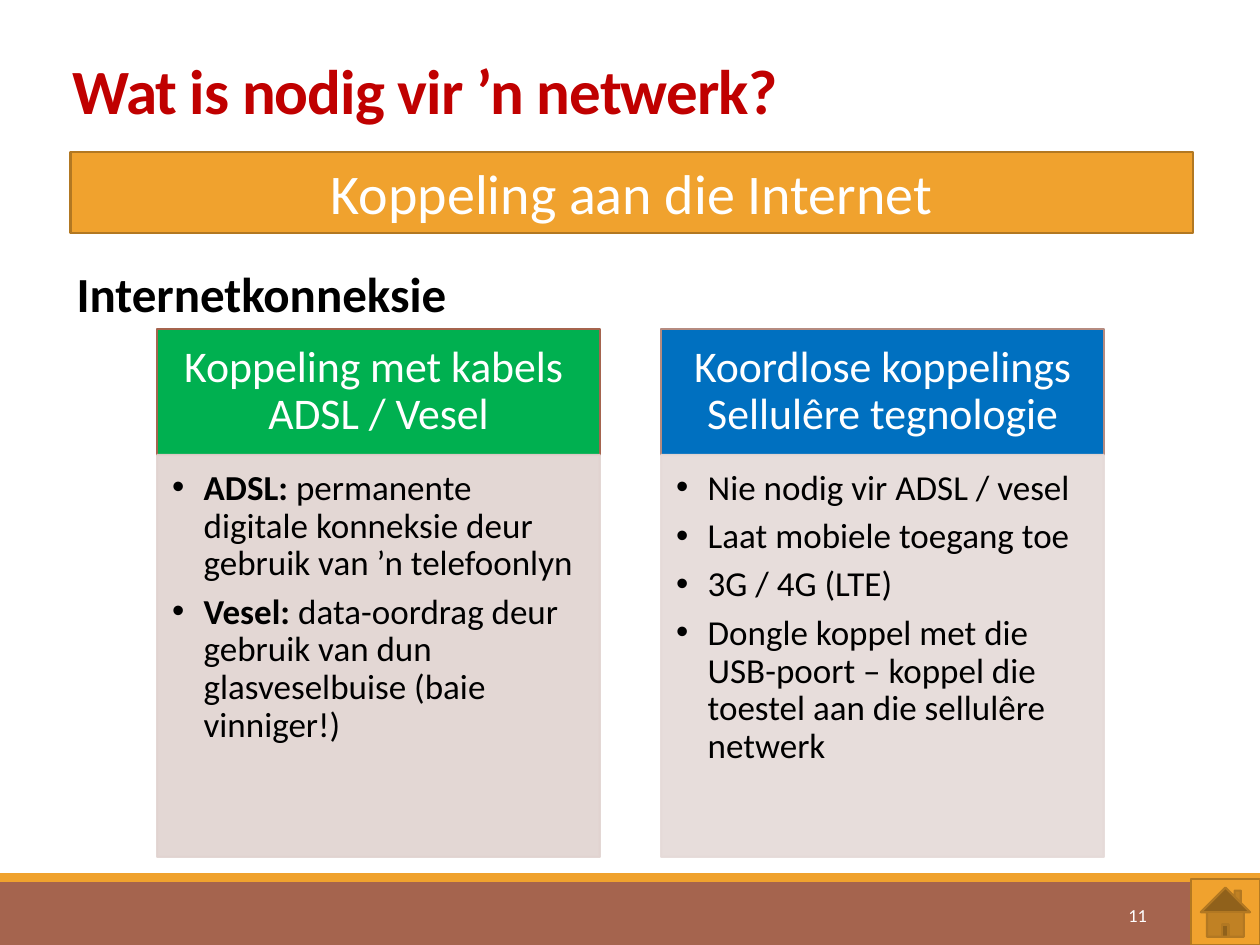
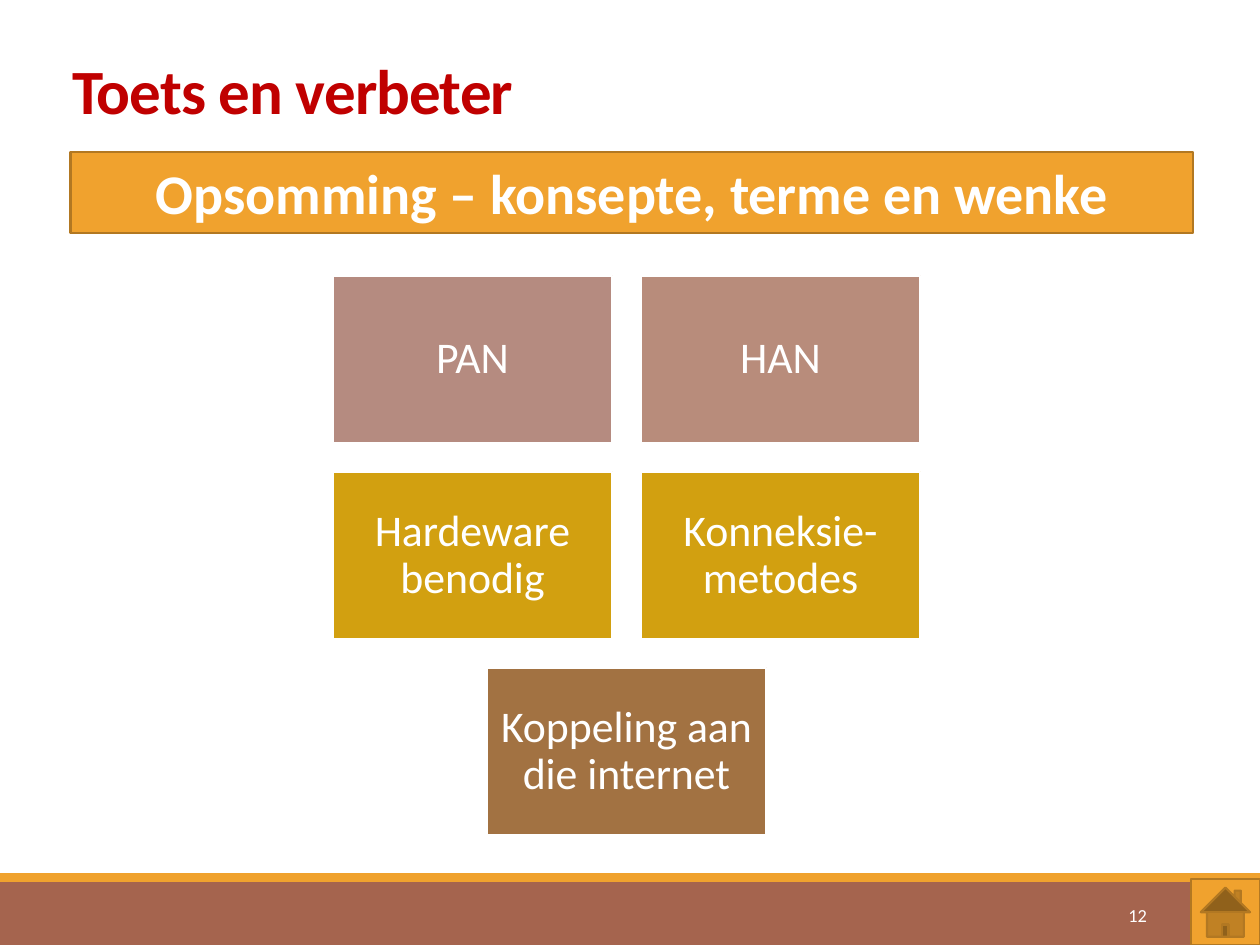
from dataclasses import dataclass

from pptx import Presentation
from pptx.dml.color import RGBColor
from pptx.enum.shapes import MSO_SHAPE as Preset
from pptx.enum.text import MSO_ANCHOR as Anchor, MSO_AUTO_SIZE as AutoSize, PP_ALIGN as Align
from pptx.oxml.ns import qn
from pptx.util import Pt
from lxml.etree import SubElement


@dataclass(frozen=True)
class Theme:
    font: str = "Calibri"
    white: str = "FFFFFF"
    black: str = "000000"
    red: str = "C00000"
    brown: str = "A5644E"
    orange: str = "F0A22E"
    orange_edge: str = "B27822"
    green: str = "00B050"
    blue: str = "0070C0"
    rose: str = "B58B80"
    clay: str = "B88C7B"
    gold: str = "D2A010"
    umber: str = "A27242"
    pale_rose: str = "E1D3D0"
    pale_clay: str = "E5DAD8"
    title_size: float = 36
    band_size: float = 32
    heading_size: float = 28
    card_size: float = 25
    body_size: float = 20
    number_size: float = 10.5


THEME = Theme()
NUMBER_AT = (584.5, 508.5, 78, 28.5)
HOME_AT = (680.5, 502.5, 39.5, 37.5)
BAND_AT = (40.3, 87, 641.5, 46)
TITLE_AT = (34, 23, 648, 53.5)


def add_box(slide, at, fill, line=None, opacity=100, preset=Preset.RECTANGLE):
    box = slide.shapes.add_shape(preset, *map(Pt, at))
    box.shadow.inherit = False
    box.fill.solid()
    box.fill.fore_color.rgb = RGBColor.from_string(fill)
    if line:
        box.line.color.rgb = RGBColor.from_string(line)
        box.line.width = Pt(1.25)
    else:
        box.line.fill.background()
    if opacity < 100:
        for color in box._element.spPr.iter(qn("a:srgbClr")):
            SubElement(color, qn("a:alpha"), val=str(opacity * 1000))
    return box


def write(shape, text, size, color=THEME.white, bold=False, align=Align.LEFT,
          anchor=Anchor.TOP, insets=(7.2, 3.6, 7.2, 3.6), line_spacing=1.0,
          space_after=0, bullet=None, tracking=0):
    """Lines are paragraphs, \\v breaks a line and ** switches bold."""
    frame = shape.text_frame
    frame.word_wrap = True
    frame.auto_size = AutoSize.NONE
    frame.vertical_anchor = anchor
    (frame.margin_left, frame.margin_top,
     frame.margin_right, frame.margin_bottom) = map(Pt, insets)
    for index, content in enumerate(text.split("\n")):
        paragraph = frame.add_paragraph() if index else frame.paragraphs[0]
        paragraph.alignment = align
        paragraph.line_spacing = line_spacing
        paragraph.space_after = Pt(space_after)
        if bullet:
            properties = paragraph._p.get_or_add_pPr()
            properties.set("marL", str(Pt(18)))
            properties.set("indent", str(-Pt(18)))
            SubElement(properties, qn("a:buFont"), typeface="Arial")
            SubElement(properties, qn("a:buChar"), char=bullet)
        for row, row_text in enumerate(content.split("\v")):
            if row:
                paragraph.add_line_break()
            for part, words in enumerate(row_text.split("**")):
                if not words:
                    continue
                run = paragraph.add_run()
                run.text = words
                run.font.name = THEME.font
                run.font.size = Pt(size)
                run.font.bold = bold or part % 2 == 1
                run.font.color.rgb = RGBColor.from_string(color)
                if tracking:
                    run._r.get_or_add_rPr().set("spc", str(int(tracking * 100)))


deck = Presentation()
deck.slide_width, deck.slide_height = Pt(720), Pt(540)

# Title, topic band and footer of every slide
pages = []
for number, title, topic, topic_bold in (
    (11, "Wat is nodig vir ’n netwerk?", "Koppeling aan die Internet", False),
    (12, "Toets en verbeter", "Opsomming – konsepte, terme en wenke", True),
):
    page = deck.slides.add_slide(deck.slide_layouts[5])
    heading = page.shapes.title
    heading.left, heading.top, heading.width, heading.height = map(Pt, TITLE_AT)
    write(heading, title, THEME.title_size, THEME.red, bold=True,
          anchor=Anchor.BOTTOM, line_spacing=0.85, tracking=-0.5)
    add_box(page, (0, 504, 720, 36), THEME.brown)
    add_box(page, (0, 499, 720, 5), THEME.orange)
    write(page.shapes.add_textbox(*map(Pt, NUMBER_AT)), str(number), THEME.number_size,
          align=Align.RIGHT, anchor=Anchor.MIDDLE)
    add_box(page, HOME_AT, THEME.orange, THEME.orange_edge, preset=Preset.ACTION_BUTTON_HOME)
    write(add_box(page, BAND_AT, THEME.orange, THEME.orange_edge), topic,
          THEME.band_size, bold=topic_bold, align=Align.CENTER)
    pages.append(page)
connection_page, summary_page = pages

# Two ways to connect
subheading = connection_page.shapes.add_textbox(Pt(36.7), Pt(147), Pt(310), Pt(41))
write(subheading, "Internetkonneksie", THEME.heading_size, THEME.black, bold=True)

connections = (
    ("Koppeling met kabels \vADSL / Vesel", THEME.green, THEME.brown, THEME.pale_rose,
     "**ADSL: **permanente digitale konneksie deur gebruik van ’n telefoonlyn\n"
     "**Vesel: **data-oordrag deur gebruik van dun glasveselbuise (baie vinniger!)"),
    ("Koordlose koppelings Sellulêre tegnologie", THEME.blue, THEME.rose, THEME.pale_clay,
     "Nie nodig vir ADSL / vesel\n"
     "Laat mobiele toegang toe\n"
     "3G / 4G (LTE)\n"
     "Dongle koppel met die USB-poort – koppel die toestel aan die sellulêre netwerk"),
)
card_width, card_step, card_top, header_height = 253, 288, 188, 72
for column, (method, fill, edge, pale, details) in enumerate(connections):
    left = 89.8 + column * card_step
    header = add_box(connection_page, (left, card_top, card_width, header_height), fill, edge)
    write(header, method, THEME.card_size, align=Align.CENTER, anchor=Anchor.MIDDLE,
          insets=(13.7, 8, 13.7, 8), line_spacing=0.9)
    body = add_box(connection_page, (left, card_top + header_height, card_width, 229.7),
                   pale, pale, opacity=90)
    write(body, details, THEME.body_size, THEME.black, insets=(8.6, 8.6, 11.5, 12),
          line_spacing=0.9, space_after=6, bullet="•")

# Summary tiles, each row centred
tile_width, tile_height, gap, center = 160, 96, 16, 358
summary_rows = (
    (("PAN", THEME.rose), ("HAN", THEME.clay)),
    (("Hardeware benodig", THEME.gold), ("Konneksie-metodes", THEME.gold)),
    (("Koppeling aan die internet", THEME.umber),),
)
for row, tiles in enumerate(summary_rows):
    row_width = len(tiles) * (tile_width + gap) - gap
    top = 157.5 + row * (tile_height + gap)
    for column, (concept, fill) in enumerate(tiles):
        left = center - row_width / 2 + column * (tile_width + gap)
        tile = add_box(summary_page, (left, top, tile_width, tile_height), fill, THEME.white)
        write(tile, concept, THEME.card_size, align=Align.CENTER, anchor=Anchor.MIDDLE,
              insets=(7.2, 7.2, 7.2, 7.2), line_spacing=0.9)

deck.save("out.pptx")
